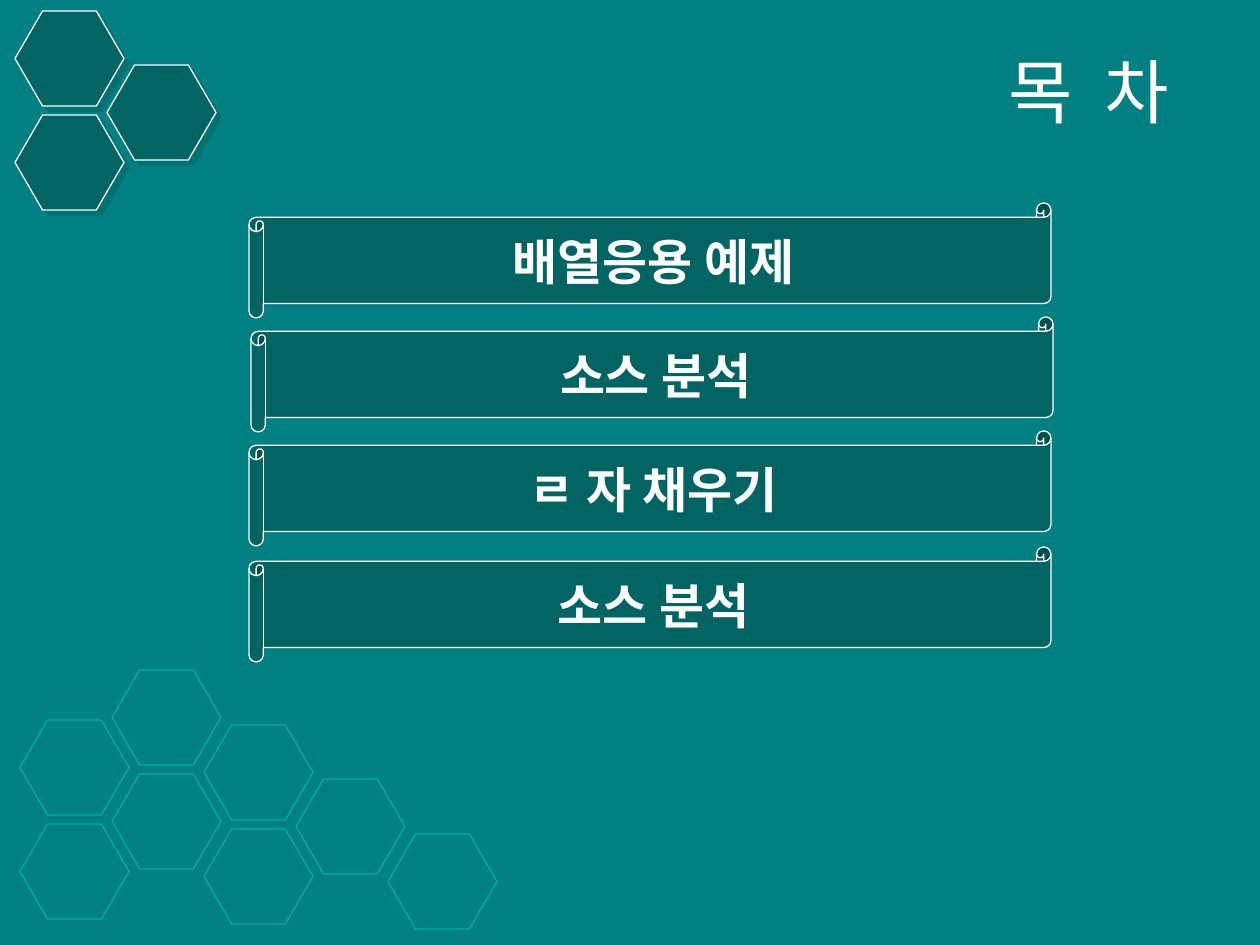
from lxml.etree import SubElement
from pptx import Presentation
from pptx.dml.color import RGBColor
from pptx.enum.shapes import MSO_SHAPE
from pptx.enum.text import MSO_ANCHOR, PP_ALIGN
from pptx.oxml.ns import qn
from pptx.util import Pt

SCALE = 914400 // 126
TEAL = RGBColor(0x00, 0x80, 0x80)
DARK = RGBColor(0x00, 0x64, 0x62)
LIGHT = RGBColor(0x00, 0xAC, 0xA8)
WHITE = RGBColor(0xFF, 0xFF, 0xFF)
KOREAN = "Noto Sans CJK KR"


def px(*sizes):
    return [size * SCALE for size in sizes]


def add_shape(slide, kind, box, edge, fill=None):
    shape = slide.shapes.add_shape(kind, *px(*box))
    shape.shadow.inherit = False
    if fill is None:
        shape.fill.background()
    else:
        shape.fill.solid()
        shape.fill.fore_color.rgb = fill
    shape.line.color.rgb = edge
    shape.line.width = Pt(0.75)
    return shape


def add_shadow(shape, color):
    effects = shape._element.spPr.find(qn("a:effectLst"))
    outer = SubElement(effects, qn("a:outerShdw"), dist=str(Pt(4.2)),
                       dir="2700000", algn="ctr", rotWithShape="0")
    tint = SubElement(outer, qn("a:srgbClr"), val=str(color))
    SubElement(tint, qn("a:alpha"), val="50000")


def add_comb(slide, left, top, cells, edge, fill=None):
    for col, row in cells:
        box = (left + 92 * col, top + 109 * col // 2 + 104 * row, 109, 95)
        cell = add_shape(slide, MSO_SHAPE.HEXAGON, box, edge, fill)
        cell.adjustments[0] = 0.29
        if fill is not None:
            add_shadow(cell, fill)


def add_title(slide, box, text):
    title = slide.shapes.title
    title.left, title.top, title.width, title.height = px(*box)
    frame = title.text_frame
    frame.text = text
    frame.vertical_anchor = MSO_ANCHOR.MIDDLE
    para = frame.paragraphs[0]
    para.alignment = PP_ALIGN.RIGHT
    para.font.size = Pt(40)
    para.font.name = "Arial"
    para.font.color.rgb = WHITE


def add_scroll(slide, box, text):
    scroll = add_shape(slide, MSO_SHAPE.HORIZONTAL_SCROLL, box, WHITE, DARK)
    frame = scroll.text_frame
    frame.text = text
    frame.vertical_anchor = MSO_ANCHOR.MIDDLE
    para = frame.paragraphs[0]
    para.alignment = PP_ALIGN.CENTER
    para.font.size = Pt(28)
    para.font.bold = True
    para.font.color.rgb = WHITE
    para.font.name = KOREAN
    props = para._p.pPr.find(qn("a:defRPr"))
    SubElement(props, qn("a:ea"), typeface=KOREAN)


def add_list(slide, left, top, items):
    for shift, drop, text in items:
        add_scroll(slide, (left + shift, top + drop, 802, 115), text)


deck = Presentation()
deck.slide_width, deck.slide_height = px(1260, 945)
slide = deck.slides.add_slide(deck.slide_layouts[5])
slide.background.fill.solid()
slide.background.fill.fore_color.rgb = TEAL

add_comb(slide, 20, 720, [(0, 0), (0, 1), (1, -1), (1, 0), (2, -1), (2, 0),
                          (3, -1), (4, -1)], LIGHT)
add_comb(slide, 15, 11, [(0, 1), (0, 0), (1, 0)], WHITE, DARK)
add_title(slide, (233, 35, 948, 110), "목  차")
add_list(slide, 249, 203, [
    (0, 0, "배열응용 예제"),
    (2, 114, "소스 분석"),
    (0, 228, "ㄹ 자 채우기"),
    (0, 344, "소스 분석"),
])
deck.save("out.pptx")
